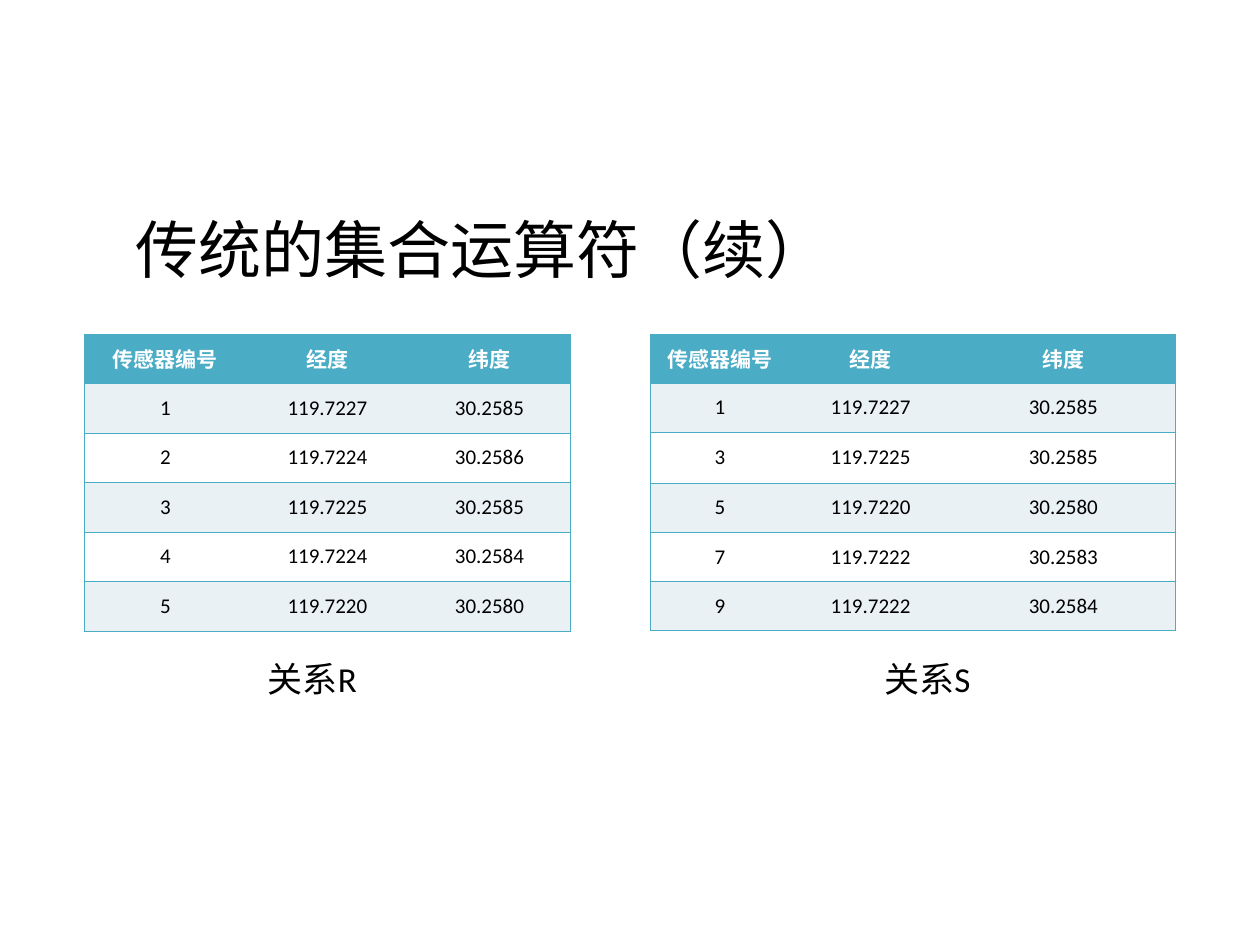
from lxml.etree import SubElement
from pptx import Presentation
from pptx.dml.color import RGBColor
from pptx.enum.text import MSO_ANCHOR, MSO_AUTO_SIZE, PP_ALIGN
from pptx.oxml.ns import qn
from pptx.util import Inches, Pt

TEAL = RGBColor(0x4B, 0xAC, 0xC6)
PALE = RGBColor(0xE9, 0xF1, 0xF5)
WHITE = RGBColor(0xFF, 0xFF, 0xFF)
BLACK = RGBColor(0, 0, 0)
FONT = "Calibri"

deck = Presentation()
deck.slide_width, deck.slide_height = Inches(10), Inches(7.5)
slide = deck.slides.add_slide(deck.slide_layouts[6])

# One percent of the slide's width and height
COL = deck.slide_width / 100
ROW = deck.slide_height / 100


def label(text, x, y, w, h, size, align):
    box = slide.shapes.add_textbox(*map(int, (x * COL, y * ROW, w * COL, h * ROW)))
    frame = box.text_frame
    frame.word_wrap = True
    frame.auto_size = MSO_AUTO_SIZE.SHAPE_TO_FIT_TEXT
    para = frame.paragraphs[0]
    para.text, para.alignment = text, align
    para.font.name, para.font.size = FONT, Pt(size)
    para.font.color.rgb = BLACK


def border(cell, sides):
    """Rule the given sides of a cell and clear the others."""
    props = cell._tc.get_or_add_tcPr()
    for side in "LRTB":
        line = SubElement(props, qn("a:ln" + side), w=str(Pt(0.45)))
        if side in sides:
            fill = SubElement(line, qn("a:solidFill"))
            SubElement(fill, qn("a:srgbClr"), val=str(TEAL))
        else:
            SubElement(line, qn("a:noFill"))


label("传统的集合运算符（续）", 9.8, 21.6, 87.4, 9.33, 36, PP_ALIGN.LEFT)

HEAD = ("传感器编号", "经度", "纬度")
EVEN = 5.24
# Name, table left, caption left, column widths, row heights, data
tables = [
    ("关系R", 6.7, 13, [12.86] * 3, [EVEN] * 6, [
        ("1", "119.7227", "30.2585"),
        ("2", "119.7224", "30.2586"),
        ("3", "119.7225", "30.2585"),
        ("4", "119.7224", "30.2584"),
        ("5", "119.7220", "30.2580"),
    ]),
    ("关系S", 51.6, 61.8, [11.1, 12.8, 17.8], [5.2, 5.2, 5.42, 5.2, 5.2, 5.2], [
        ("1", "119.7227", "30.2585"),
        ("3", "119.7225", "30.2585"),
        ("5", "119.7220", "30.2580"),
        ("7", "119.7222", "30.2583"),
        ("9", "119.7222", "30.2584"),
    ]),
]

for name, left, mid, widths, heights, data in tables:
    area = (left * COL, 35.33 * ROW, sum(widths) * COL, sum(heights) * ROW)
    table = slide.shapes.add_table(6, 3, *map(int, area)).table
    for col, width in zip(table.columns, widths):
        col.width = int(width * COL)
    for r, (height, texts) in enumerate(zip(heights, [HEAD] + data)):
        table.rows[r].height = int(height * ROW)
        for c, text in enumerate(texts):
            cell = table.cell(r, c)
            cell.vertical_anchor = MSO_ANCHOR.MIDDLE
            cell.margin_left = cell.margin_right = Inches(0.08)
            border(cell, ("LTB", "TB", "RTB")[c])
            cell.fill.solid()
            cell.fill.fore_color.rgb = TEAL if r == 0 else PALE if r % 2 else WHITE
            para = cell.text_frame.paragraphs[0]
            para.text, para.alignment = text, PP_ALIGN.CENTER
            para.font.name, para.font.size = FONT, Pt(12)
            para.font.bold = r == 0
            para.font.color.rgb = BLACK if r else WHITE
    label(name, mid, 68.93, 23.6, 5.87, 20, PP_ALIGN.CENTER)

deck.save("out.pptx")
